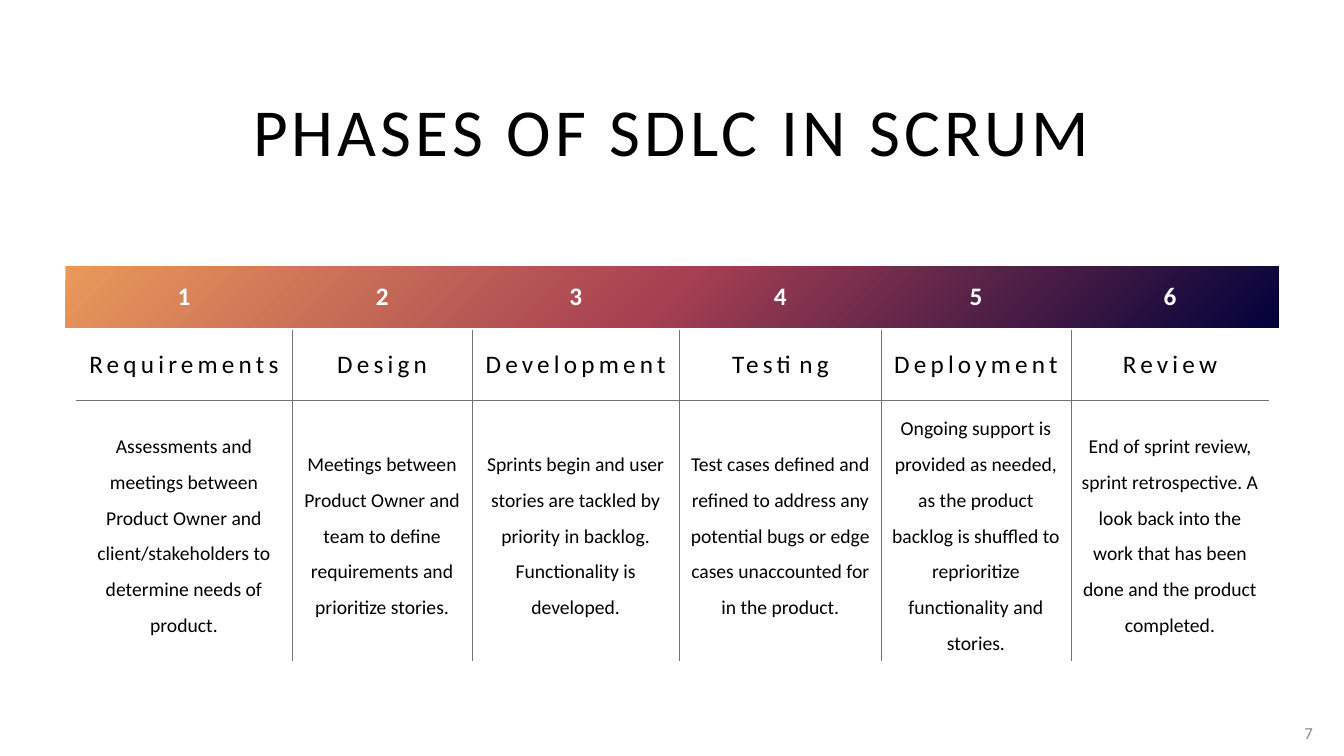
"""Build a slide with a table of the six SDLC phases in Scrum."""
from pptx import Presentation
from pptx.dml.color import RGBColor
from pptx.enum.shapes import MSO_SHAPE
from pptx.enum.text import MSO_ANCHOR, PP_ALIGN
from pptx.oxml import parse_xml
from pptx.oxml.ns import nsdecls, qn
from pptx.util import Inches, Pt

FONT = "Calibri"
BLACK = RGBColor(0x00, 0x00, 0x00)
WHITE = RGBColor(0xFF, 0xFF, 0xFF)
GRAY = RGBColor(0x8C, 0x8C, 0x8C)
RULE = RGBColor(0x76, 0x71, 0x71)
NAVY = RGBColor(0x01, 0x02, 0x3B)
CRIMSON = RGBColor(0xA5, 0x3F, 0x52)
ORANGE = RGBColor(0xE9, 0x99, 0x5A)

NO_GRID_STYLE = "{2D5ABB26-0587-4C30-8999-92F81FD0307C}"
COLUMN_WIDTHS = [2.15, 1.78, 2.06, 2, 1.88, 1.97]
ROW_HEIGHTS = [0.64, 0.7, 2.51]
PHASES = [
    ("Requirements", "Assessments and meetings between Product Owner and "
     "client/stakeholders to determine needs of product."),
    ("Design", "Meetings between Product Owner and team to define "
     "requirements and prioritize stories."),
    ("Development", "Sprints begin and user stories are tackled by priority "
     "in backlog. Functionality is developed."),
    ("Testing", "Test cases defined and refined to address any potential "
     "bugs or edge cases unaccounted for in the product."),
    ("Deployment", "Ongoing support is provided as needed, as the product "
     "backlog is shuffled to reprioritize functionality and stories."),
    ("Review", "End of sprint review, sprint retrospective. A look back into "
     "the work that has been done and the product completed."),
]


def set_text(text_frame, text, size, color, align=PP_ALIGN.CENTER,
             bold=False, tracking=0, line_spacing=None):
    text_frame.text = text
    paragraph = text_frame.paragraphs[0]
    paragraph.alignment = align
    paragraph.line_spacing = line_spacing
    run = paragraph.runs[0]
    run.font.name = FONT
    run.font.size = Pt(size)
    run.font.bold = bold
    run.font.color.rgb = color
    run._r.get_or_add_rPr().set("spc", str(tracking * 100))


def place(shape, left, top, width, height):
    shape.left, shape.top = Inches(left), Inches(top)
    shape.width, shape.height = Inches(width), Inches(height)


def add_title(slide, text):
    title = slide.shapes.title
    place(title, 0.65, 0.84, 12.03, 0.9)
    title.text_frame.vertical_anchor = MSO_ANCHOR.MIDDLE
    set_text(title.text_frame, text, 48, BLACK, tracking=3)


def add_gradient_bar(slide):
    bar = slide.shapes.add_shape(MSO_SHAPE.RECTANGLE, Inches(0.65),
                                 Inches(2.64), Inches(12.03), Inches(0.61))
    bar.shadow.inherit = False
    bar.line.fill.background()
    bar.fill.solid()
    stops = "".join(
        f'<a:gs pos="{position}"><a:srgbClr val="{color}"/></a:gs>'
        for position, color in [(0, NAVY), (50000, CRIMSON), (100000, ORANGE)])
    gradient = parse_xml(
        f'<a:gradFill {nsdecls("a")}><a:gsLst>{stops}</a:gsLst>'
        '<a:path path="circle"><a:fillToRect l="100000" t="100000"/></a:path>'
        '</a:gradFill>')
    properties = bar._element.spPr
    properties.replace(properties.find(qn("a:solidFill")), gradient)


def set_borders(cell, sides):
    properties = cell._tc.get_or_add_tcPr()
    for index, side in enumerate(side for side in "LRTB" if side in sides):
        properties.insert(index, parse_xml(
            f'<a:ln{side} {nsdecls("a")} w="3175"><a:solidFill>'
            f'<a:srgbClr val="{RULE}"/></a:solidFill></a:ln{side}>'))


def add_phase_table(slide):
    frame = slide.shapes.add_table(
        len(ROW_HEIGHTS), len(PHASES), Inches(0.75), Inches(2.63),
        Inches(sum(COLUMN_WIDTHS)), Inches(sum(ROW_HEIGHTS)))
    table = frame.table
    table.first_row = table.horz_banding = False
    table._tbl.tblPr.find(qn("a:tableStyleId")).text = NO_GRID_STYLE
    for column, width in zip(table.columns, COLUMN_WIDTHS):
        column.width = Inches(width)
    for row, height in zip(table.rows, ROW_HEIGHTS):
        row.height = Inches(height)

    for index, (name, description) in enumerate(PHASES):
        number_cell, name_cell, description_cell = (
            table.cell(row, index) for row in range(len(ROW_HEIGHTS)))
        for cell in (number_cell, name_cell, description_cell):
            cell.fill.background()
            cell.vertical_anchor = MSO_ANCHOR.MIDDLE
        set_text(number_cell.text_frame, str(index + 1), 18, WHITE, bold=True)
        set_text(name_cell.text_frame, name, 18, BLACK, tracking=3)
        set_text(description_cell.text_frame, description, 14, BLACK,
                 line_spacing=1.5)
        sides = "L" * (index > 0) + "R" * (index < len(PHASES) - 1)
        set_borders(name_cell, sides + "B")
        set_borders(description_cell, sides + "T")


def add_page_number(slide, number):
    box = slide.shapes.add_textbox(Inches(12.63), Inches(7.07),
                                   Inches(0.49), Inches(0.4))
    box.text_frame.word_wrap = True
    box.text_frame.vertical_anchor = MSO_ANCHOR.MIDDLE
    set_text(box.text_frame, number, 12, GRAY, align=PP_ALIGN.RIGHT)


def main():
    presentation = Presentation()
    presentation.slide_width = Inches(13.33)
    presentation.slide_height = Inches(7.5)
    slide = presentation.slides.add_slide(presentation.slide_layouts[5])
    add_title(slide, "PHASES OF SDLC IN SCRUM")
    add_gradient_bar(slide)
    add_phase_table(slide)
    add_page_number(slide, "7")
    presentation.save("out.pptx")


if __name__ == "__main__":
    main()
